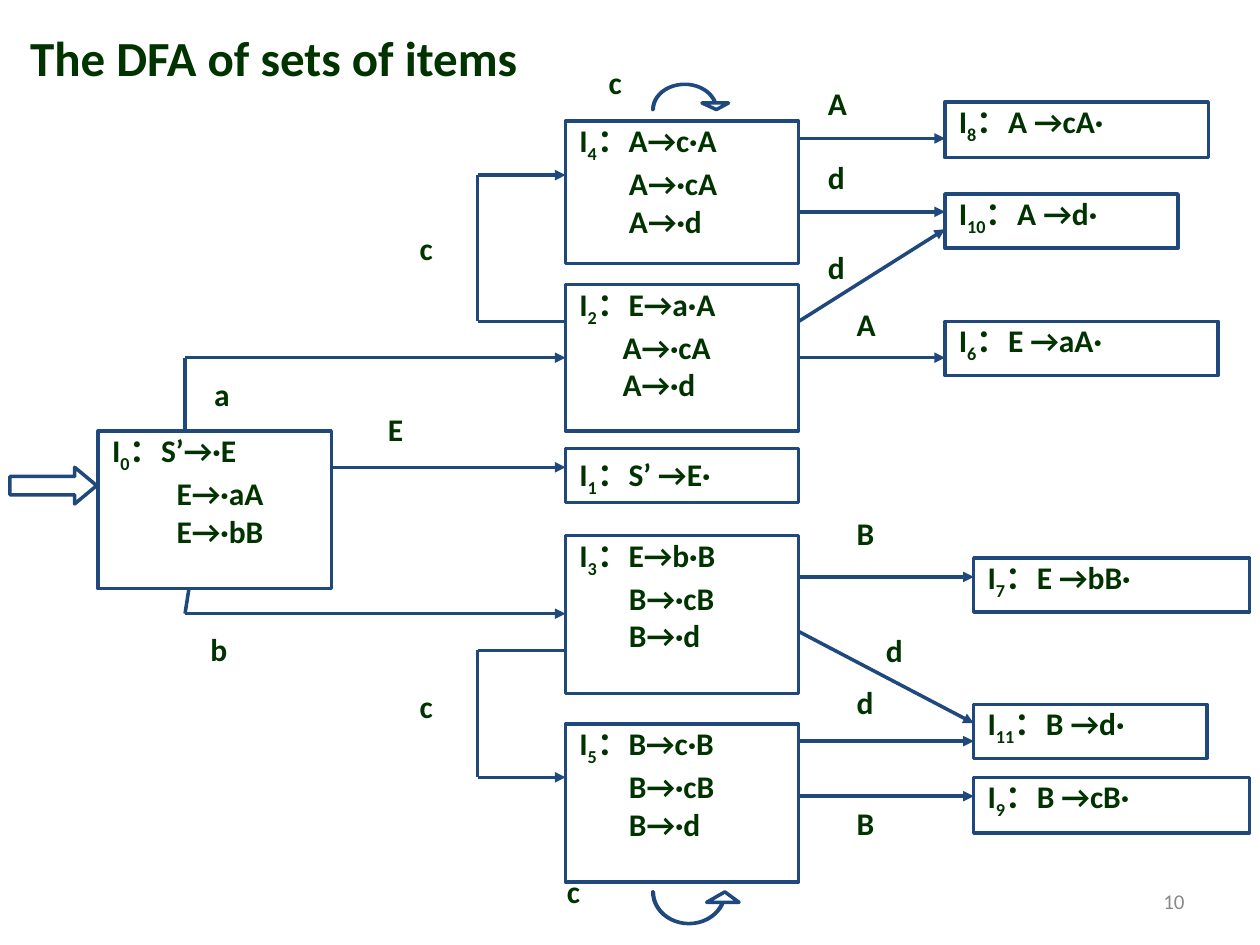
from dataclasses import dataclass
from itertools import pairwise

from lxml.etree import SubElement
from pptx import Presentation
from pptx.dml.color import RGBColor
from pptx.enum.shapes import MSO_CONNECTOR, MSO_SHAPE
from pptx.enum.text import MSO_ANCHOR, PP_ALIGN
from pptx.oxml.ns import qn
from pptx.util import Cm, Pt


@dataclass(frozen=True)
class Theme:
    font: str = "Calibri"
    ink: RGBColor = RGBColor(0x00, 0x33, 0x00)
    line: RGBColor = RGBColor(0x1F, 0x49, 0x7D)
    muted: RGBColor = RGBColor(0x89, 0x89, 0x89)
    title: Pt = Pt(28)
    body: Pt = Pt(18)
    number: Pt = Pt(12)
    stroke: Pt = Pt(2)


theme = Theme()
body_format = {"name": theme.font, "size": theme.body, "bold": True}
title_format = body_format | {"size": theme.title}
number_format = body_format | {"size": theme.number, "bold": False}

frame_format = {
    "word_wrap": True,
    "vertical_anchor": MSO_ANCHOR.TOP,
    "margin_left": 0,
    "margin_top": 0,
    "margin_right": 0,
    "margin_bottom": 0,
}


def add_span(para, text, font_format=body_format, color=theme.ink):
    span = para.add_run()
    span.text = text
    for name, value in font_format.items():
        setattr(span.font, name, value)
    span.font.color.rgb = color
    return span


def add_outline(preset, place, adjustments=()):
    """Add an unfilled preset shape with the diagram's line."""
    shape = slide.shapes.add_shape(preset, *map(Cm, place))
    shape.shadow.inherit = False
    shape.fill.background()
    shape.line.color.rgb = theme.line
    shape.line.width = theme.stroke
    for index, value in enumerate(adjustments):
        shape.adjustments[index] = value
    return shape


deck = Presentation()
deck.slide_width, deck.slide_height = Cm(25.4), Cm(19.05)
slide = deck.slides.add_slide(deck.slide_layouts[6])

title = slide.shapes.add_textbox(Cm(0.36), Cm(0.43), Cm(10.85), Cm(1.45))
title.text_frame.word_wrap = False
add_span(title.text_frame.paragraphs[0], "The DFA of sets of items", title_format)

# Item sets: number, left, top, width, height, indent of later items, items
start, middle, upper, lower = 1.98, 11.4, 19.05, 19.63
states = [
    (0, start, 8.69, 4.7, 3.18, 1.3, ["S’→·E", "E→·aA", "E→·bB"]),
    (4, middle, 2.44, 4.7, 2.87, 1, ["A→c·A", "A→·cA", "A→·d"]),
    (2, middle, 5.74, 4.7, 2.95, 0.87, ["E→a·A", "A→·cA", "A→·d"]),
    (3, middle, 10.8, 4.7, 3.18, 1, ["E→b·B", "B→·cB", "B→·d"]),
    (5, middle, 14.6, 4.7, 3.18, 1, ["B→c·B", "B→·cB", "B→·d"]),
    (1, middle, 9.04, 4.7, 1.09, 0, ["S’ →E·"]),
    (8, upper, 2.06, 5.31, 1.12, 0, ["A →cA·"]),
    (10, upper, 3.91, 4.7, 1.09, 0, ["A →d·"]),
    (6, upper, 6.48, 5.51, 1.09, 0, ["E →aA·"]),
    (7, lower, 11.25, 5.56, 1.09, 0, ["E →bB·"]),
    (11, lower, 14.2, 4.7, 1.09, 0, ["B →d·"]),
    (9, lower, 15.67, 5.56, 1.12, 0, ["B →cB·"]),
]
for number, left, top, width, height, indent, items in states:
    box = add_outline(MSO_SHAPE.RECTANGLE, (left, top, width, height))
    frame = box.text_frame
    for name, value in frame_format.items():
        setattr(frame, name, value)
    frame.margin_left = Cm(0.28)
    if number == 1:
        frame.margin_top = Cm(0.13)
    for row, item in enumerate(items):
        para = frame.add_paragraph() if row else frame.paragraphs[0]
        para.alignment = PP_ALIGN.JUSTIFY
        if row:
            para._p.get_or_add_pPr().set("marL", str(Cm(indent)))
            add_span(para, item)
        else:
            add_span(para, "I")
            subscript = add_span(para, str(number))
            subscript.font._element.set("baseline", "-25000")
            add_span(para, "：" + item)

# Transitions: corner points, with an arrowhead on the last leg
exit_x, turn_x, stem_x = 16.1, 9.63, 3.73
routes = [
    [(6.68, 9.42), (middle, 9.42)],
    [(stem_x, 8.69), (stem_x, 7.21), (middle, 7.21)],
    [(3.81, 11.86), (stem_x, 12.37), (middle, 12.37)],
    [(middle, 6.48), (turn_x, 6.48), (turn_x, 3.53), (middle, 3.53)],
    [(middle, 13.11), (turn_x, 13.11), (turn_x, 15.67), (middle, 15.67)],
    [(exit_x, 2.79), (upper, 2.79)],
    [(exit_x, 4.27), (upper, 4.27)],
    [(exit_x, 6.48), (upper, 4.62)],
    [(exit_x, 7.21), (upper, 7.21)],
    [(exit_x, 11.63), (lower, 11.63)],
    [(exit_x, 12.73), (lower, 14.58)],
    [(exit_x, 14.94), (lower, 14.94)],
    [(exit_x, 16.05), (lower, 16.05)],
]
for route in routes:
    for begin, end in pairwise(route):
        leg = slide.shapes.add_connector(MSO_CONNECTOR.STRAIGHT, *map(Cm, begin + end))
        leg.line.color.rgb = theme.line
        leg.line.width = theme.stroke
        SubElement(leg._element.spPr, qn("a:effectLst"))
    SubElement(leg.line._get_or_add_ln(), qn("a:tailEnd"), type="triangle")

add_outline(MSO_SHAPE.RIGHT_ARROW, (0.2, 9.42, 1.75, 0.74), (0.5, 0.6))
add_outline(MSO_SHAPE.CURVED_UP_ARROW, (13.16, 17.98, 1.78, 0.64), (0.02, 1.02, 0.33))
add_outline(MSO_SHAPE.CURVED_DOWN_ARROW, (13.16, 1.7, 1.55, 0.51), (0.02, 1.05, 0.26))

labels = [
    ("a", 4.32, 7.57), ("b", 4.24, 12.7), ("E", 7.82, 8.26),
    ("c", 8.46, 4.62), ("c", 8.46, 13.84), ("c", 12.27, 1.27), ("c", 11.43, 17.58),
    ("A", 16.69, 1.7), ("d", 16.69, 3.18), ("d", 16.69, 5), ("A", 17.27, 6.15),
    ("B", 17.27, 10.36), ("d", 17.86, 12.73), ("d", 17.27, 13.77), ("B", 17.27, 16.21),
]
for symbol, left, top in labels:
    label = slide.shapes.add_textbox(Cm(left), Cm(top), Cm(0.6), Cm(0.74))
    for name, value in frame_format.items():
        setattr(label.text_frame, name, value)
    para = label.text_frame.paragraphs[0]
    para.alignment = PP_ALIGN.JUSTIFY
    add_span(para, symbol)

page_number = slide.shapes.add_textbox(Cm(18.2), Cm(17.66), Cm(5.93), Cm(1.01))
page_number.text_frame.word_wrap = True
page_number.text_frame.vertical_anchor = MSO_ANCHOR.MIDDLE
para = page_number.text_frame.paragraphs[0]
para.alignment = PP_ALIGN.RIGHT
add_span(para, "10", number_format, theme.muted)

deck.save("out.pptx")
